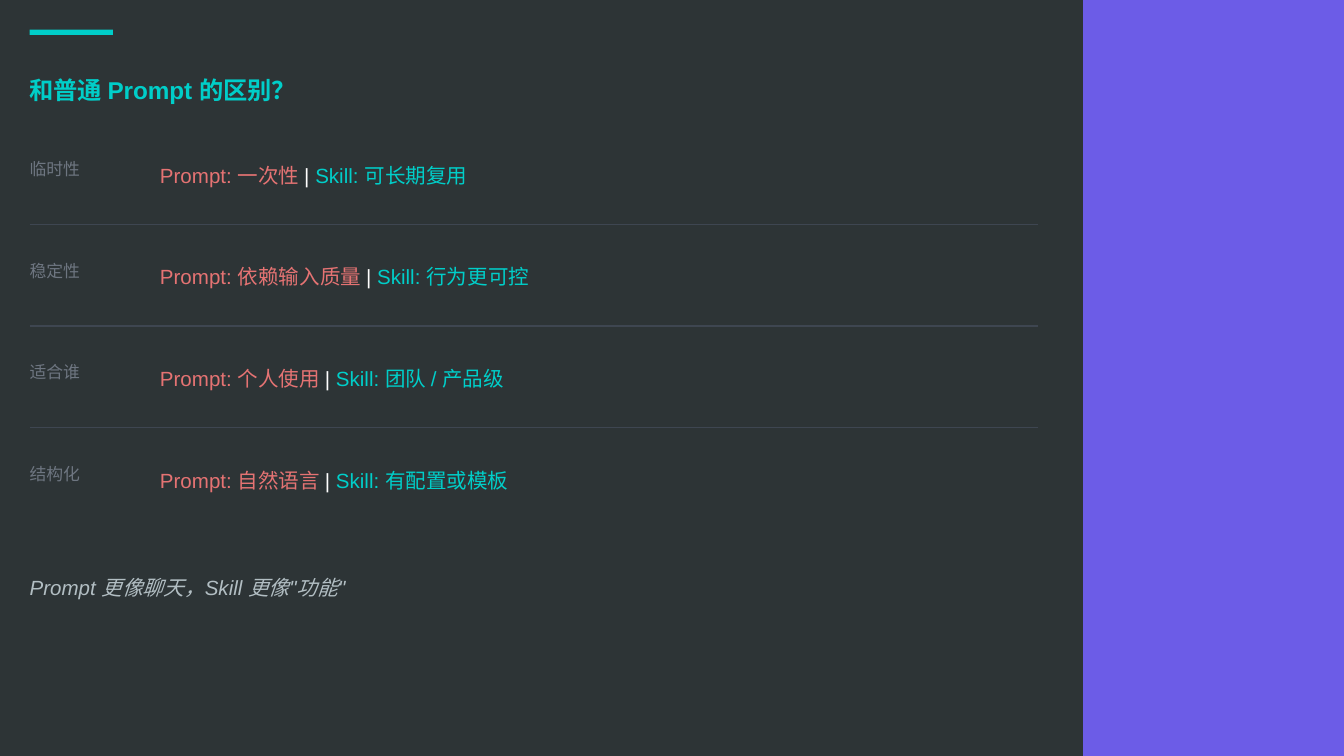
from dataclasses import dataclass

import lxml.etree
import pptx
import pptx.dml.color
import pptx.enum.shapes
import pptx.enum.text
import pptx.oxml.ns
import pptx.util

Inches = pptx.util.Inches
Pt = pptx.util.Pt


@dataclass(frozen=True)
class Theme:
    background: str = "2D3436"
    panel: str = "6C5CE7"
    accent: str = "00CEC9"
    prompt: str = "E57373"
    divider: str = "3E4651"
    label: str = "6E7681"
    separator: str = "FFFFFF"
    closing: str = "B2BEC3"
    font: str = "Arial"
    title_size: float = 13
    text_size: float = 11
    label_size: float = 9
    divider_width: float = 0.75


@dataclass(frozen=True)
class Comparison:
    aspect: str
    prompt: str
    skill: str


@dataclass(frozen=True)
class Box:
    left: float
    top: float
    width: float
    height: float

    def lengths(self) -> tuple:
        return tuple(Inches(v) for v in (self.left, self.top, self.width, self.height))


THEME = Theme()
COMPARISONS = [
    Comparison("临时性", "一次性", "可长期复用"),
    Comparison("稳定性", "依赖输入质量", "行为更可控"),
    Comparison("适合谁", "个人使用", "团队 / 产品级"),
    Comparison("结构化", "自然语言", "有配置或模板"),
]
SLIDE_WIDTH = 10
SLIDE_HEIGHT = SLIDE_WIDTH * 9 / 16
MARGIN = 0.22
CONTENT_WIDTH = 7.65
FIRST_ROW, LAST_ROW = 1.18, 3.45
ROW_PITCH = (LAST_ROW - FIRST_ROW) / (len(COMPARISONS) - 1)


def rgb(color: str) -> pptx.dml.color.RGBColor:
    return pptx.dml.color.RGBColor.from_string(color)


def add_run(paragraph, text: str, *, size: float, color: str,
            bold: bool = False, italic: bool = False) -> None:
    run = paragraph.add_run()
    run.text = text
    run.font.name = THEME.font
    run.font.size = Pt(size)
    run.font.bold = bold
    run.font.italic = italic
    run.font.color.rgb = rgb(color)


def prepare_paragraph(holder, *, before: float = 0, after: float = 0):
    frame = holder.text_frame
    frame.margin_left = frame.margin_right = 0
    frame.margin_top = frame.margin_bottom = 0
    frame.word_wrap = True
    frame.auto_size = pptx.enum.text.MSO_AUTO_SIZE.NONE
    frame.vertical_anchor = pptx.enum.text.MSO_ANCHOR.TOP
    paragraph = frame.paragraphs[0]
    paragraph.alignment = pptx.enum.text.PP_ALIGN.LEFT
    paragraph.space_before = Pt(before)
    paragraph.space_after = Pt(after)
    return paragraph


def add_paragraph_box(slide, box: Box, *, before: float = 0, after: float = 0):
    holder = slide.shapes.add_textbox(*box.lengths())
    return prepare_paragraph(holder, before=before, after=after)


def add_block(slide, box: Box, color: str) -> None:
    block = slide.shapes.add_shape(
        pptx.enum.shapes.MSO_SHAPE.RECTANGLE, *box.lengths())
    block.shadow.inherit = False
    block.fill.solid()
    block.fill.fore_color.rgb = rgb(color)
    block.line.fill.background()


def add_divider(slide, top: float) -> None:
    divider = slide.shapes.add_connector(
        pptx.enum.shapes.MSO_CONNECTOR.STRAIGHT,
        Inches(MARGIN), Inches(top), Inches(7.72), Inches(top))
    divider.line.color.rgb = rgb(THEME.divider)
    divider.line.width = Pt(THEME.divider_width)
    lxml.etree.SubElement(
        divider.element.spPr, pptx.oxml.ns.qn("a:effectLst"))


def add_title(slide, text: str) -> None:
    title = slide.shapes.title
    title.left, title.top, title.width, title.height = Box(
        MARGIN, 0.56, CONTENT_WIDTH, 0.25).lengths()
    heading = prepare_paragraph(title, after=18)
    add_run(heading, text, size=THEME.title_size, color=THEME.accent, bold=True)


def add_comparison(slide, comparison: Comparison, top: float) -> None:
    aspect = add_paragraph_box(
        slide, Box(MARGIN, top, 0.99, 0.27), before=9, after=9)
    add_run(aspect, comparison.aspect, size=THEME.label_size, color=THEME.label)
    contrast = add_paragraph_box(
        slide, Box(1.19, top + 0.03, 6.66, 0.22), before=11, after=11)
    for text, color in (
        (f"Prompt: {comparison.prompt}", THEME.prompt),
        (" | ", THEME.separator),
        (f"Skill: {comparison.skill}", THEME.accent),
    ):
        add_run(contrast, text, size=THEME.text_size, color=color)


def main() -> None:
    deck = pptx.Presentation()
    deck.slide_width = Inches(SLIDE_WIDTH)
    deck.slide_height = Inches(SLIDE_HEIGHT)
    slide = deck.slides.add_slide(deck.slide_layouts.get_by_name("Title Only"))
    slide.background.fill.solid()
    slide.background.fill.fore_color.rgb = rgb(THEME.background)

    add_block(slide, Box(8.06, 0, 1.94, SLIDE_HEIGHT), THEME.panel)
    add_block(slide, Box(MARGIN, 0.22, 0.62, 0.04), THEME.accent)
    add_title(slide, "和普通 Prompt 的区别？")

    for index, comparison in enumerate(COMPARISONS):
        top = FIRST_ROW + index * ROW_PITCH
        if index < len(COMPARISONS) - 1:
            add_divider(slide, top + 0.49)
        add_comparison(slide, comparison, top)

    closing = add_paragraph_box(
        slide, Box(MARGIN, 4.28, CONTENT_WIDTH, 0.22), before=15)
    add_run(closing, 'Prompt 更像聊天，Skill 更像"功能"',
            size=THEME.text_size, color=THEME.closing, italic=True)

    deck.save("out.pptx")


if __name__ == "__main__":
    main()
